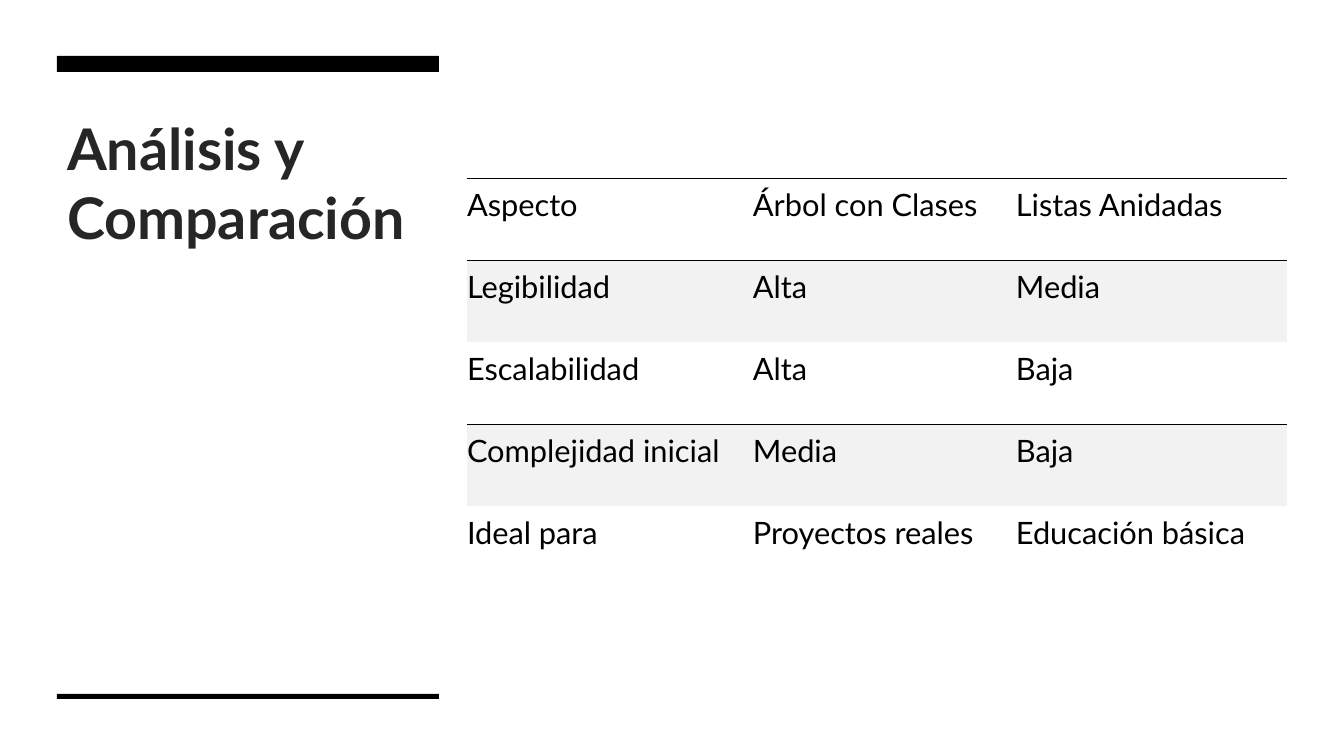
from dataclasses import dataclass

from lxml import etree
from pptx import Presentation
from pptx import util as u
from pptx.dml.color import RGBColor
from pptx.enum import shapes, text
from pptx.oxml.ns import qn

SLIDE_W, SLIDE_H = 1344, 756
EMU_PER_PX = 12192000 / SLIDE_W
NO_STYLE_NO_GRID = "{2D5ABB26-0587-4C30-8999-92F81FD0307C}"


@dataclass(frozen=True)
class Theme:
    font: str = "Lato"
    title_size: int = 41
    cell_size: int = 22
    rule_width: float = 0.5
    title: str = "262626"
    ink: str = "000000"
    band: str = "F2F2F2"


THEME = Theme()

ROWS = [
    ("Aspecto", "Árbol con Clases", "Listas Anidadas"),
    ("Legibilidad", "Alta", "Media"),
    ("Escalabilidad", "Alta", "Baja"),
    ("Complejidad inicial", "Media", "Baja"),
    ("Ideal para", "Proyectos reales", "Educación básica"),
]
COLUMN_WIDTHS = (286, 263, 271)
ROW_HEIGHT = 82
BANDED_ROWS = (1, 3)
RULES = {0: ("lnT", "lnB"), 2: ("lnB",)}


def px(n):
    return u.Emu(round(n * EMU_PER_PX))


def style_font(p, size, color, bold=False):
    p.font.name = THEME.font
    p.font.size = u.Pt(size)
    p.font.bold = bold
    p.font.color.rgb = RGBColor.from_string(color)


def set_title(slide, title, left, top, width, height):
    sp = slide.shapes.title
    sp.left, sp.top, sp.width, sp.height = map(px, (left, top, width, height))
    tf = sp.text_frame
    tf.text = title
    tf.word_wrap = True
    tf.vertical_anchor = text.MSO_ANCHOR.TOP
    p = tf.paragraphs[0]
    p.alignment = text.PP_ALIGN.LEFT
    style_font(p, THEME.title_size, THEME.title, bold=True)


def add_bar(slide, left, top, width, height):
    sp = slide.shapes.add_shape(
        shapes.MSO_SHAPE.RECTANGLE, *map(px, (left, top, width, height)))
    sp.shadow.inherit = False
    sp.fill.solid()
    sp.fill.fore_color.rgb = RGBColor.from_string(THEME.ink)
    sp.line.fill.background()


def add_rule(cell, side):
    tc_pr = cell._tc.get_or_add_tcPr()
    ln = etree.SubElement(tc_pr, qn(f"a:{side}"), w=str(u.Pt(THEME.rule_width)))
    fill = etree.SubElement(ln, qn("a:solidFill"))
    etree.SubElement(fill, qn("a:srgbClr"), val=THEME.ink)


def format_cell(cell, value, row):
    cell.text = value
    cell.margin_left, cell.margin_top = px(0), px(4)
    cell.margin_right, cell.margin_bottom = px(11), px(32)
    cell.vertical_anchor = text.MSO_ANCHOR.MIDDLE
    style_font(cell.text_frame.paragraphs[0], THEME.cell_size, THEME.ink)
    for side in RULES.get(row, ()):
        add_rule(cell, side)
    if row in BANDED_ROWS:
        cell.fill.solid()
        cell.fill.fore_color.rgb = RGBColor.from_string(THEME.band)
    else:
        cell.fill.background()


def add_comparison(slide, left, top):
    size = sum(COLUMN_WIDTHS), ROW_HEIGHT * len(ROWS)
    frame = slide.shapes.add_table(
        len(ROWS), len(COLUMN_WIDTHS), *map(px, (left, top, *size)))
    table = frame.table
    table.first_row = table.horz_banding = False
    table._tbl.tblPr.find(qn("a:tableStyleId")).text = NO_STYLE_NO_GRID
    for column, width in zip(table.columns, COLUMN_WIDTHS):
        column.width = px(width)
    for r, values in enumerate(ROWS):
        table.rows[r].height = px(ROW_HEIGHT)
        for c, value in enumerate(values):
            format_cell(table.cell(r, c), value, r)


def main():
    prs = Presentation()
    prs.slide_width, prs.slide_height = px(SLIDE_W), px(SLIDE_H)
    s = prs.slides.add_slide(prs.slide_layouts[5])
    set_title(s, "Análisis y Comparación", 57, 108, 382, 270)
    add_bar(s, 57, 56, 382, 16)
    add_bar(s, 57, 694, 382, 5)
    add_comparison(s, 467, 178)
    prs.save("out.pptx")


if __name__ == "__main__":
    main()
